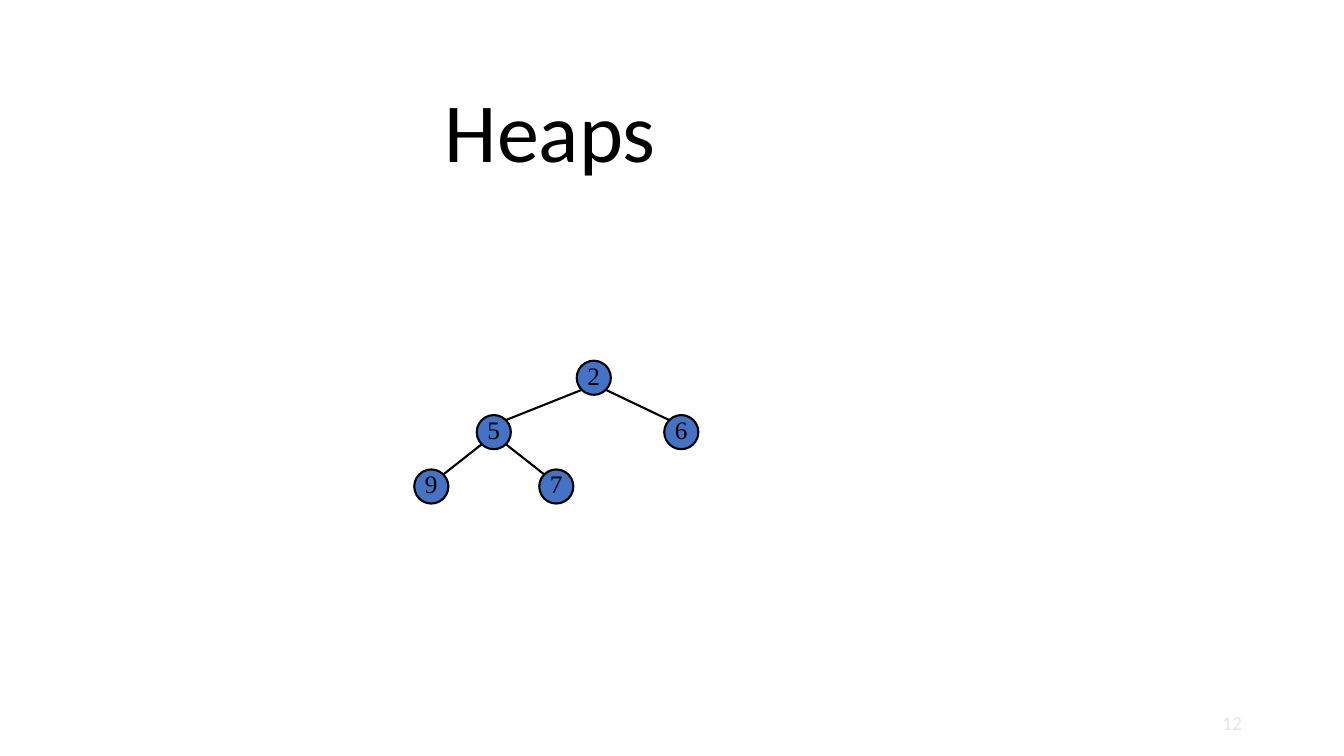
from math import sqrt

from pptx import Presentation
from pptx.dml.color import RGBColor
from pptx.enum.shapes import MSO_CONNECTOR as Connector, MSO_SHAPE as Shape
from pptx.enum.text import MSO_ANCHOR as Anchor, PP_ALIGN as Align
from pptx.oxml.ns import qn
from pptx.util import Cm, Pt

BLACK = RGBColor(0x00, 0x00, 0x00)
NODE_BLUE = RGBColor(0x44, 0x72, 0xC4)
PALE_GREY = RGBColor(0xE7, 0xE6, 0xE6)

NODE_SIZE = Cm(0.86)
OUTLINE = Pt(1.5)
HEAP = {
    "2": (0.65, 0),
    "5": (0.25, 1),
    "6": (1, 1),
    "9": (0, 2),
    "7": (0.5, 2),
}
BRANCHES = [("2", "5"), ("2", "6"), ("5", "9"), ("5", "7")]
DEPTH = max(level for _, level in HEAP.values())

NO_MARGINS = {"margin_left": 0, "margin_right": 0, "margin_top": 0, "margin_bottom": 0}
TITLE_FRAME = {"vertical_anchor": Anchor.BOTTOM, "word_wrap": True}
NODE_FRAME = {
    **NO_MARGINS,
    "margin_bottom": Cm(0.13),
    "vertical_anchor": Anchor.MIDDLE,
    "word_wrap": False,
}
NUMBER_FRAME = {**NO_MARGINS, "vertical_anchor": Anchor.MIDDLE, "word_wrap": True}
TITLE_FONT = {"name": "Calibri", "size": Pt(60)}
NODE_FONT = {"name": "Times New Roman", "size": Pt(18)}
NUMBER_FONT = {"name": "Calibri", "size": Pt(14)}


def apply_format(target, values):
    for attribute, value in values.items():
        setattr(target, attribute, value)


def write(frame, wording, layout, lettering, color, align):
    apply_format(frame, layout)
    paragraph = frame.paragraphs[0]
    paragraph.alignment = align
    run = paragraph.add_run()
    run.text = wording
    apply_format(run.font, lettering)
    run.font.color.rgb = color
    return paragraph


def draw_outline(line):
    line.color.rgb = BLACK
    line.width = OUTLINE


def place_title(slide, left, top, width, height):
    title = slide.shapes.title
    apply_format(title, {"left": left, "top": top, "width": width, "height": height})
    heading = write(title.text_frame, "Heaps", TITLE_FRAME, TITLE_FONT, BLACK, Align.CENTER)
    heading.line_spacing = 0.9


def add_node(slide, key, center_x, center_y):
    node = slide.shapes.add_shape(
        Shape.OVAL, center_x - NODE_SIZE // 2, center_y - NODE_SIZE // 2, NODE_SIZE, NODE_SIZE
    )
    node.shadow.inherit = False
    node.fill.solid()
    node.fill.fore_color.rgb = NODE_BLUE
    draw_outline(node.line)
    write(node.text_frame, key, NODE_FRAME, NODE_FONT, BLACK, Align.CENTER)


def add_branch(slide, parent, child):
    reach = int(NODE_SIZE / 2 / sqrt(2))
    side = reach if child[0] > parent[0] else -reach
    branch = slide.shapes.add_connector(
        Connector.STRAIGHT,
        parent[0] + side, parent[1] + reach,
        child[0] - side, child[1] - reach,
    )
    draw_outline(branch.line)
    properties = branch._element.spPr
    properties.append(properties.makeelement(qn("a:effectLst"), {}))


def draw_heap(slide, left, top, width, height):
    centers = {
        key: (
            int(left + NODE_SIZE / 2 + across * (width - NODE_SIZE)),
            int(top + NODE_SIZE / 2 + level / DEPTH * (height - NODE_SIZE)),
        )
        for key, (across, level) in HEAP.items()
    }
    for key, center in centers.items():
        add_node(slide, key, *center)
    for parent, child in BRANCHES:
        add_branch(slide, centers[parent], centers[child])


def place_slide_number(slide, left, top, width, height):
    number = slide.shapes.add_textbox(left, top, width, height)
    write(number.text_frame, "12", NUMBER_FRAME, NUMBER_FONT, PALE_GREY, Align.RIGHT)


def main():
    presentation = Presentation()
    presentation.slide_width = Cm(33.87)
    presentation.slide_height = Cm(19.05)
    slide = presentation.slides.add_slide(presentation.slide_layouts[5])
    place_title(slide, Cm(3.07), Cm(1.5), Cm(21.59), Cm(3.18))
    draw_heap(slide, Cm(10.44), Cm(9.09), Cm(7.16), Cm(3.6))
    place_slide_number(slide, Cm(29.3), Cm(17.7), Cm(2), Cm(1))
    presentation.save("out.pptx")


if __name__ == "__main__":
    main()
